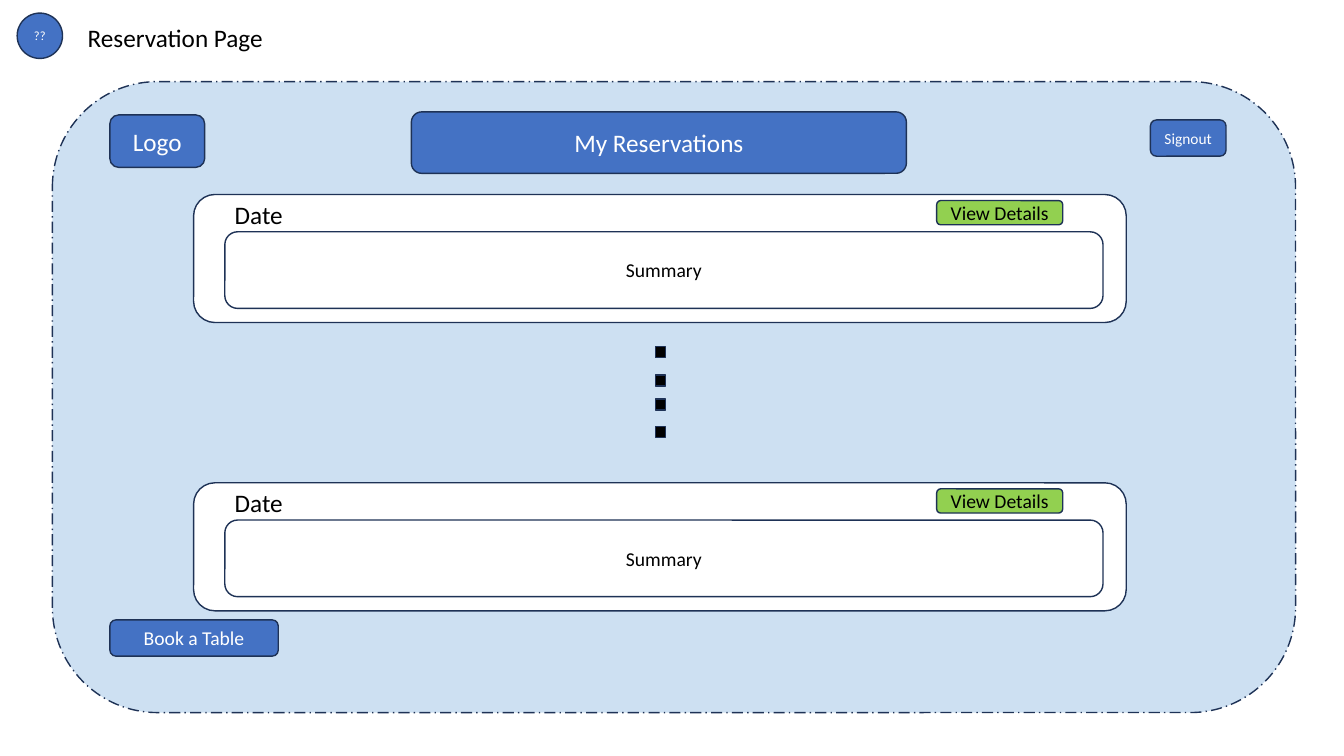
from lxml import etree
from pptx import Presentation
from pptx.dml.color import RGBColor
from pptx.enum.dml import MSO_LINE
from pptx.enum.shapes import MSO_SHAPE
from pptx.enum.text import MSO_ANCHOR, PP_ALIGN
from pptx.oxml.ns import qn
from pptx.util import Inches, Pt

ROUNDED = MSO_SHAPE.ROUNDED_RECTANGLE
SQUARE = MSO_SHAPE.RECTANGLE
CIRCLE = MSO_SHAPE.FLOWCHART_CONNECTOR
DASH_DOT = MSO_LINE.LONG_DASH_DOT
LEFT, CENTER = PP_ALIGN.LEFT, PP_ALIGN.CENTER
TOP, MIDDLE = MSO_ANCHOR.TOP, MSO_ANCHOR.MIDDLE

BLUE = RGBColor(0x44, 0x72, 0xC4)
PALE_BLUE = RGBColor(0x5B, 0x9B, 0xD5)
NAVY = RGBColor(0x1E, 0x32, 0x56)
GREEN = RGBColor(0x92, 0xD0, 0x50)
WHITE = RGBColor(0xFF, 0xFF, 0xFF)
BLACK = RGBColor(0x00, 0x00, 0x00)


def write(sp, text, size=18, color=WHITE, align=CENTER, anchor=MIDDLE, inset=0.0):
    tf = sp.text_frame
    tf.word_wrap = True
    tf.vertical_anchor = anchor
    tf.margin_left = tf.margin_right = Inches(inset)
    tf.margin_top = tf.margin_bottom = Inches(inset / 2)
    p = tf.paragraphs[0]
    p.alignment = align
    r = p.add_run()
    r.text = text
    r.font.name = "Calibri"
    r.font.size = Pt(size)
    r.font.color.rgb = color


def add_box(shapes, kind, x, y, w, h, fill):
    sp = shapes.add_shape(kind, Inches(x), Inches(y), Inches(w), Inches(h))
    sp.shadow.inherit = False
    sp.fill.solid()
    sp.fill.fore_color.rgb = fill
    sp.line.color.rgb = NAVY
    sp.line.width = Pt(1)
    return sp


prs = Presentation()
prs.slide_width = Inches(13.33)
prs.slide_height = Inches(7.5)
s = prs.slides.add_slide(prs.slide_layouts[5])

title = s.shapes.title
title.left, title.top = Inches(0.77), Inches(0.17)
title.width, title.height = Inches(6.5), Inches(0.4)
write(title, "Reservation Page", color=BLACK, align=LEFT, inset=0.1)

page = add_box(s.shapes, ROUNDED, 0.52, 0.81, 12.33, 6.26, PALE_BLUE)
page.line.dash_style = DASH_DOT
page_color = page.fill._xPr.find(qn("a:solidFill"))[0]
etree.SubElement(page_color, qn("a:alpha")).set("val", "30000")

for kind, x, y, w, h, text, size in [
    (ROUNDED, 1.09, 1.14, 0.94, 0.52, "Logo", 18),
    (ROUNDED, 4.08, 1.11, 4.91, 0.61, "My Reservations", 18),
    (CIRCLE, 0.17, 0.13, 0.45, 0.45, "??", 9),
    (ROUNDED, 1.09, 6.15, 1.67, 0.36, "Book a Table", 14),
    (ROUNDED, 11.41, 1.19, 0.75, 0.36, "Signout", 11),
]:
    write(add_box(s.shapes, kind, x, y, w, h, BLUE), text, size=size)

for top in (1.93, 4.79):
    card = s.shapes.add_group_shape().shapes
    add_box(card, ROUNDED, 1.92, top, 9.25, 1.27, WHITE)
    date = card.add_textbox(Inches(2.23), Inches(top), Inches(8.06), Inches(0.33))
    write(date, "Date", color=BLACK, align=LEFT, anchor=TOP, inset=0.1)
    summary = add_box(card, ROUNDED, 2.23, top + 0.37, 8.71, 0.76, WHITE)
    write(summary, "Summary", size=14, color=BLACK)
    details = add_box(card, ROUNDED, 9.29, top + 0.06, 1.25, 0.24, GREEN)
    write(details, "View Details", size=14, color=BLACK)

dots = s.shapes.add_group_shape().shapes
for top in (3.44, 3.72, 3.96, 4.23):
    add_box(dots, SQUARE, 6.5, top, 0.1, 0.11, BLACK)

prs.save("out.pptx")
